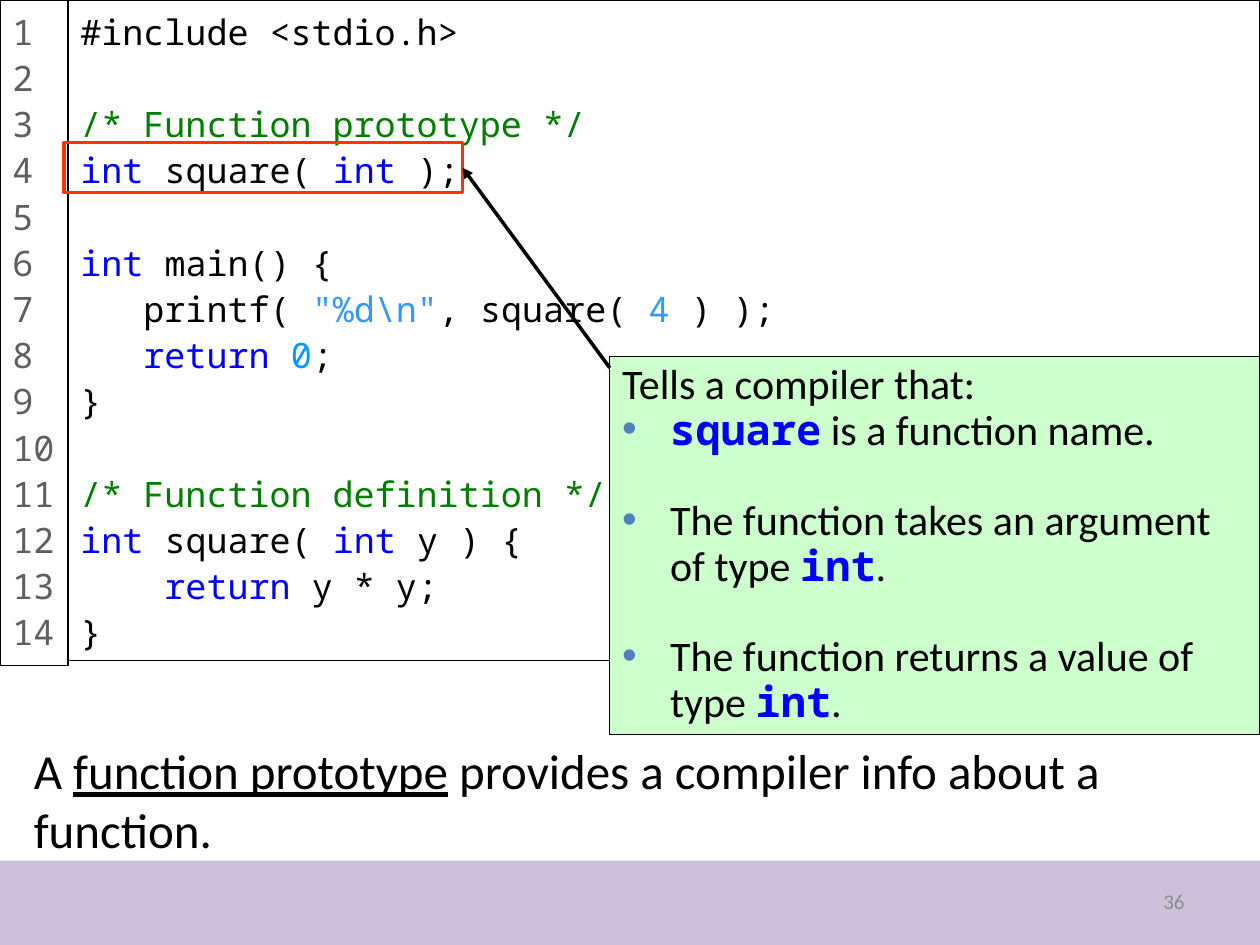
from dataclasses import dataclass

from lxml import etree
from pptx import Presentation
from pptx import util as u
from pptx.dml.color import RGBColor
from pptx.enum import shapes, text
from pptx.oxml import ns


@dataclass(frozen=True)
class Theme:
    """Colours, fonts and type sizes of the deck."""
    body: str = "Calibri"
    mono: str = "Noto Sans Mono"
    ink: str = "000000"
    paper: str = "FFFFFF"
    band: str = "CCC1DA"
    page_number: str = "8C8C8C"
    gutter: str = "5F5F5F"
    comment: str = "008000"
    keyword: str = "0000FF"
    literal: str = "3399FF"
    zero: str = "0099FF"
    highlight: str = "FF3300"
    callout: str = "CCFFCC"
    bullet: str = "4F81BD"
    code_size: float = 20
    code_pitch: float = 26.4
    callout_size: float = 24
    callout_pitch: float = 25.9
    caption_size: float = 28
    number_size: float = 12


THEME = Theme()
INK, KEY = THEME.ink, THEME.keyword

CODE = [
    [("#include <stdio.h>", INK)],
    [],
    [("/* Function prototype */", THEME.comment)],
    [("int", KEY), (" square( ", INK), ("int", KEY), (" );", INK)],
    [],
    [("int", KEY), (" main() {", INK)],
    [("   printf( ", INK), ('"%d\\n"', THEME.literal), (", square( ", INK),
     ("4", THEME.literal), (" ) );", INK)],
    [("   return ", KEY), ("0", THEME.zero), (";", INK)],
    [("}", INK)],
    [],
    [("/* Function definition */", THEME.comment)],
    [("int", KEY), (" square( ", INK), ("int", KEY), (" y ) {", INK)],
    [("    return ", KEY), ("y * y;", INK)],
    [("}", INK)],
]

FACTS = [
    [("square", True), (" is a function name.", False)],
    [("The function takes an argument of type ", False), ("int", True), (".", False)],
    [("The function returns a value of type ", False), ("int", True), (".", False)],
]


def add_box(page, box, fill=None, line=None, weight=0.75):
    """Add a rectangle with top-left text and return it."""
    shape = page.shapes.add_shape(shapes.MSO_SHAPE.RECTANGLE, *map(u.Inches, box))
    shape.shadow.inherit = False
    if fill:
        shape.fill.solid()
        shape.fill.fore_color.rgb = RGBColor.from_string(fill)
    else:
        shape.fill.background()
    if line:
        shape.line.color.rgb = RGBColor.from_string(line)
        shape.line.width = u.Pt(weight)
    else:
        shape.line.fill.background()
    shape.text_frame.word_wrap = True
    shape.text_frame.vertical_anchor = text.MSO_ANCHOR.TOP
    return shape


def add_span(para, words, size, color=INK, name=THEME.body, bold=False, underline=False):
    """Append one formatted run to a paragraph."""
    span = para.add_run()
    span.text = words
    span.font.size = u.Pt(size)
    span.font.name = name
    span.font.bold = bold
    span.font.underline = underline
    span.font.color.rgb = RGBColor.from_string(color)


def next_para(frame, pitch=None, gap=0):
    """Return the first unused paragraph of a frame, left aligned."""
    first = frame.paragraphs[0]
    para = frame.add_paragraph() if first.runs else first
    para.alignment = text.PP_ALIGN.LEFT
    if pitch:
        para.line_spacing = u.Pt(pitch)
    if gap:
        para.space_before = u.Pt(gap)
    return para


def add_listing(page, box, lines):
    """Place code lines in a bordered box, turning empty lines into space."""
    frame = add_box(page, box, THEME.paper, INK).text_frame
    gap = 0
    for line in lines:
        if not line:
            gap += THEME.code_pitch
            continue
        para = next_para(frame, THEME.code_pitch, gap)
        gap = 0
        for words, color in line:
            add_span(para, words, THEME.code_size, color, THEME.mono)


def add_bullet(para):
    """Give a paragraph a coloured bullet with a hanging indent."""
    props = para._p.get_or_add_pPr()
    indent = u.Inches(0.38)
    props.set("marL", str(indent))
    props.set("indent", str(-indent))
    color = etree.SubElement(props, ns.qn("a:buClr"))
    etree.SubElement(color, ns.qn("a:srgbClr")).set("val", THEME.bullet)
    etree.SubElement(props, ns.qn("a:buFont")).set("typeface", "Arial")
    etree.SubElement(props, ns.qn("a:buChar")).set("char", "•")


def add_callout(page, box):
    """Place the explanation of the prototype."""
    frame = add_box(page, box, THEME.callout, INK).text_frame
    size, pitch = THEME.callout_size, THEME.callout_pitch
    add_span(next_para(frame, pitch), "Tells a compiler that:", size)
    for index, fact in enumerate(FACTS):
        para = next_para(frame, pitch, pitch if index else 0)
        add_bullet(para)
        for words, is_code in fact:
            if is_code:
                add_span(para, words, size, KEY, THEME.mono, bold=True)
            else:
                add_span(para, words, size)


def add_arrow(page, start, end):
    """Draw an arrow that points at its end."""
    arrow = page.shapes.add_connector(
        shapes.MSO_CONNECTOR.STRAIGHT, *map(u.Inches, start + end))
    arrow.line.color.rgb = RGBColor.from_string(INK)
    arrow.line.width = u.Pt(2)
    etree.SubElement(arrow.line._get_or_add_ln(), ns.qn("a:tailEnd")).set("type", "triangle")
    etree.SubElement(arrow._element.spPr, ns.qn("a:effectLst"))


def add_caption(page, box):
    """Place the summary sentence."""
    frame = page.shapes.add_textbox(*map(u.Inches, box)).text_frame
    frame.word_wrap = True
    para = next_para(frame)
    add_span(para, "A ", THEME.caption_size)
    add_span(para, "function prototype", THEME.caption_size, underline=True)
    add_span(para, " provides a compiler info about a function.", THEME.caption_size)


def add_footer(page, box, number):
    """Place the bottom band and the page number."""
    left, top, width, height = box
    add_box(page, box, THEME.band)
    place = (left + width - 2.83, top + 0.12, 2.33, 0.4)
    frame = page.shapes.add_textbox(*map(u.Inches, place)).text_frame
    frame.word_wrap = True
    frame.vertical_anchor = text.MSO_ANCHOR.MIDDLE
    para = next_para(frame)
    para.alignment = text.PP_ALIGN.RIGHT
    add_span(para, number, THEME.number_size, THEME.page_number)


def main():
    """Build the slide and save the deck."""
    deck = Presentation()
    deck.slide_width, deck.slide_height = u.Inches(10), u.Inches(7.5)
    page = deck.slides.add_slide(deck.slide_layouts[6])
    add_footer(page, (0, 6.83, 10, 0.67), "36")
    add_listing(page, (0.54, 0, 9.46, 5.24), CODE)
    numbers = [[(str(row), THEME.gutter)] for row in range(1, len(CODE) + 1)]
    add_listing(page, (0, 0, 0.54, 5.28), numbers)
    add_box(page, (0.51, 1.13, 3.16, 0.4), line=THEME.highlight, weight=2)
    add_caption(page, (0.17, 5.83, 9.67, 1.03))
    add_callout(page, (4.84, 2.83, 5.16, 3))
    add_arrow(page, (4.84, 2.92), (3.67, 1.33))
    deck.save("out.pptx")


if __name__ == "__main__":
    main()
